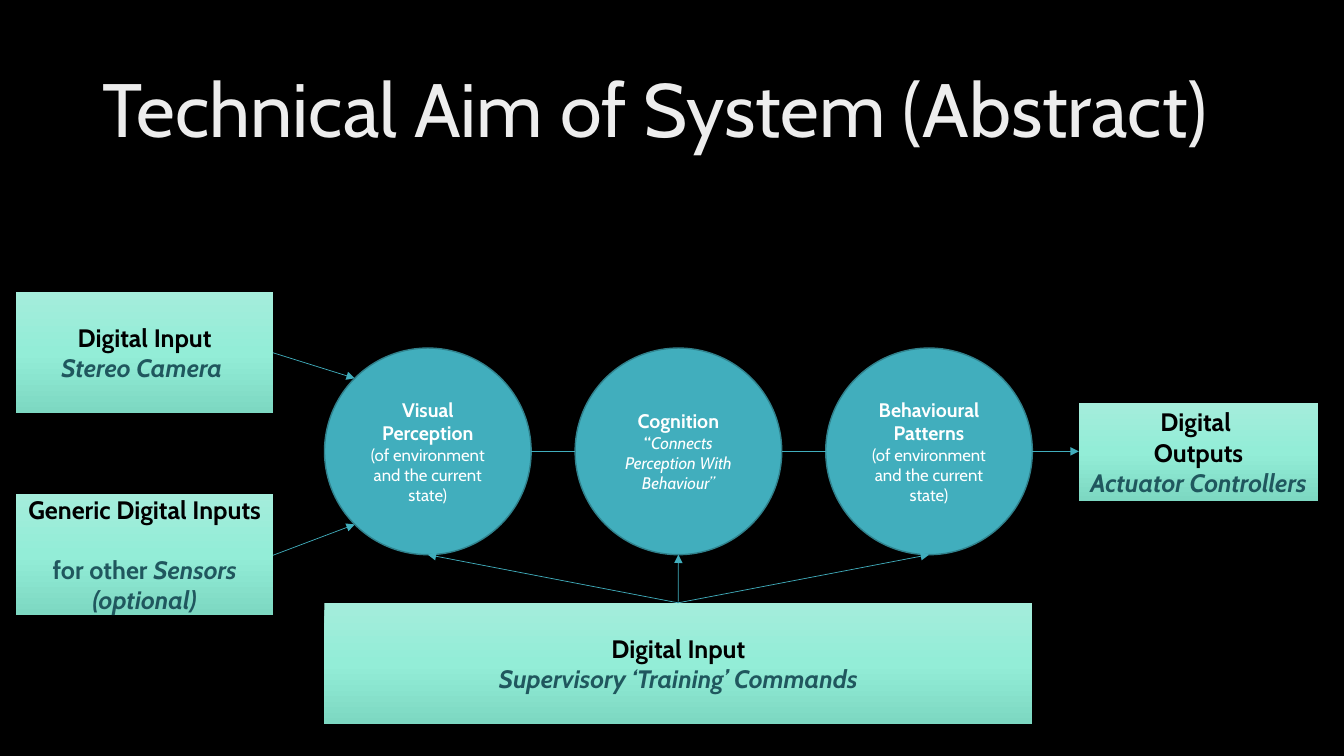
from copy import deepcopy

from pptx import Presentation
from pptx.dml.color import RGBColor
from pptx.enum.shapes import MSO_CONNECTOR, MSO_SHAPE
from pptx.enum.text import MSO_ANCHOR, PP_ALIGN
from pptx.oxml.ns import qn
from pptx.util import Pt

RECT, OVAL = MSO_SHAPE.RECTANGLE, MSO_SHAPE.OVAL
LINE = MSO_CONNECTOR.STRAIGHT
MIDDLE = MSO_ANCHOR.MIDDLE
LEFT, CENTER = PP_ALIGN.LEFT, PP_ALIGN.CENTER


def color(value):
    return RGBColor.from_string(value)


class Board:
    face = "Cabin"
    teal, edge = "41AEBD", "30818C"
    mint = [(0, "A4EDDB"), (0.5, "93EDD7"), (1, "7DD8C2")]
    head = {"size": Pt(18), "bold": True, "color": "000000"}
    sub = {**head, "italic": True, "color": "20575E"}
    plain = {**sub, "italic": False}
    name = {"size": Pt(14), "bold": True, "color": "FFFFFF"}
    note = {"size": Pt(12), "bold": False, "color": "FFFFFF"}
    quote = {**note, "italic": True}
    mark = {**note, "bold": True}
    big = {"size": Pt(54), "color": "EDEDED"}

    def __init__(self, slide):
        self.slide = slide
        slide.background.fill.solid()
        slide.background.fill.fore_color.rgb = color("000000")

    def label(self, shape, paras, align=CENTER):
        frame = shape.text_frame
        frame.word_wrap = True
        frame.vertical_anchor = MIDDLE
        for i, runs in enumerate(paras):
            para = frame.add_paragraph() if i else frame.paragraphs[0]
            para.alignment = align
            for text, style in runs:
                for j, part in enumerate(text.split("\n")):
                    if j:
                        para.add_line_break()
                    if part:
                        self.words(para, part, style)
        return frame

    def words(self, para, text, style):
        run = para.add_run()
        run.text = text
        run.font.name = self.face
        for key, value in style.items():
            if key == "color":
                run.font.color.rgb = color(value)
            else:
                setattr(run.font, key, value)

    def title(self, area, text):
        box = self.slide.shapes.add_textbox(*map(Pt, area))
        frame = self.label(box, [[(text, self.big)]], LEFT)
        frame.paragraphs[0].line_spacing = 0.9

    def shape(self, kind, area, paras):
        shape = self.slide.shapes.add_shape(kind, *map(Pt, area))
        shape.shadow.inherit = False
        self.label(shape, paras)
        return shape

    def circle(self, area, paras):
        shape = self.shape(OVAL, area, paras)
        shape.fill.solid()
        shape.fill.fore_color.rgb = color(self.teal)
        shape.line.color.rgb = color(self.edge)
        shape.line.width = Pt(1)

    def box(self, area, paras):
        shape = self.shape(RECT, area, paras)
        shape.line.fill.background()
        fill = shape.fill
        fill.gradient()
        fill.gradient_angle = 270
        stops = shape.element.spPr.find(qn("a:gradFill")).find(qn("a:gsLst"))
        stops.insert(1, deepcopy(stops[0]))
        for stop, (place, value) in zip(fill.gradient_stops, self.mint):
            stop.position = place
            stop.color.rgb = color(value)

    def link(self, start, end, arrow=True):
        line = self.slide.shapes.add_connector(LINE, *map(Pt, start + end))
        line.line.color.rgb = color(self.teal)
        line.line.width = Pt(0.5)
        props = line.element.spPr
        if arrow:
            stroke = props.find(qn("a:ln"))
            stroke.append(stroke.makeelement(qn("a:tailEnd"), {"type": "triangle"}))
        props.append(props.makeelement(qn("a:effectLst"), {}))


def main():
    deck = Presentation()
    deck.slide_width, deck.slide_height = Pt(960), Pt(540)
    board = Board(deck.slides.add_slide(deck.slide_layouts[6]))
    head, sub, name, note = board.head, board.sub, board.name, board.note

    board.title((66, 28.8, 828, 104.4), "Technical Aim of System (Abstract)")

    scope = [("(of environment and the current state)", note)]
    stages = [
        [[("Visual Perception", name)], scope],
        [[("Cognition\n", name), ("“", board.mark),
          ("Connects\nPerception With Behaviour”", board.quote)]],
        [[("Behavioural Patterns", name)], scope],
    ]
    left, top, size, pitch = 231.8, 248.6, 147.6, 179
    xs = [left + i * pitch for i in range(len(stages))]
    for x, paras in zip(xs, stages):
        board.circle((x, top, size, size), paras)

    side, wide, tall = 11.5, 183.6, 86.4
    out, base = 770.6, 430.6
    board.box((side, 208.6, wide, tall),
              [[("Digital Input", head)], [("Stereo Camera ", sub)]])
    board.box((side, 352.8, wide, tall),
              [[("Generic Digital Inputs \n", head), ("for other ", board.plain),
                ("Sensors", sub)], [("(optional)", sub)]])
    board.box((left, base, 505.6, tall),
              [[("Digital Input", head)],
               [("Supervisory ‘Training’ Commands", sub)]])
    board.box((out, 288, 171, 69.6),
              [[("Digital ", head)], [("Outputs", head)],
               [("Actuator Controllers", sub)]])

    mid = top + size / 2
    for x, end in zip(xs, xs[1:] + [out]):
        board.link((x + size, mid), (end, mid), end == out)
    for x in xs:
        board.link((484.4, base), (x + size / 2, top + size))
    for start, end in [(252, 270.2), (396.6, 374.6)]:
        board.link((side + wide, start), (253.4, end))

    deck.save("out.pptx")


if __name__ == "__main__":
    main()
